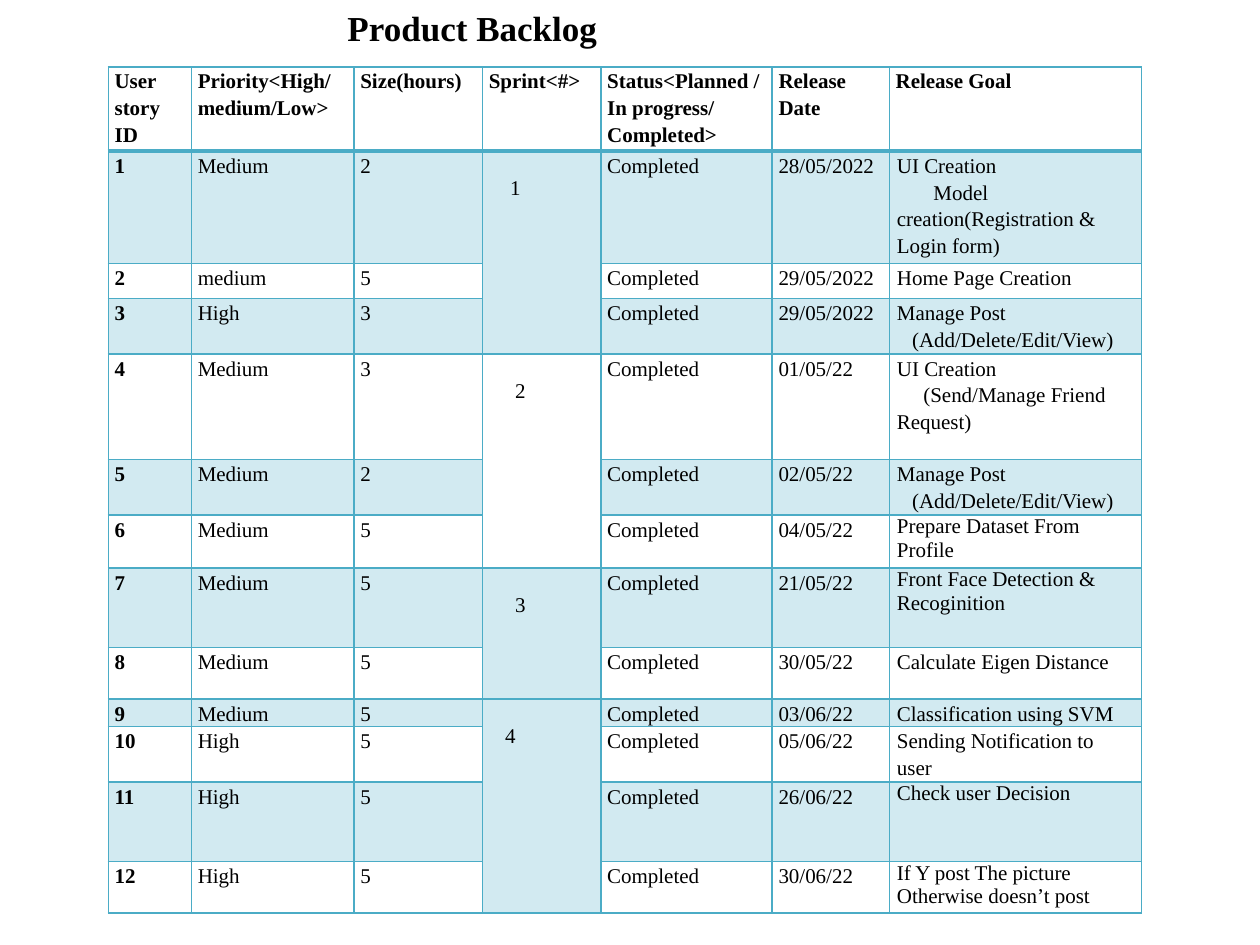
from lxml import etree
from pptx import Presentation
from pptx.dml.color import RGBColor
from pptx.oxml.ns import qn
from pptx.util import Inches, Pt

BORDER = "4BACC6"
BAND = "D2EAF1"


def write(tf, text, size=12, bold=False, spacing=1.15, indents=()):
    tf.word_wrap = True
    for i, line in enumerate(text.split("\n")):
        p = tf.paragraphs[0] if i == 0 else tf.add_paragraph()
        p.line_spacing = spacing
        if i < len(indents):
            p._p.get_or_add_pPr().set("indent", str(Inches(indents[i])))
        r = p.add_run()
        r.text = line
        r.font.name = "Times New Roman"
        r.font.size = Pt(size)
        r.font.bold = bold
        r.font.color.rgb = RGBColor.from_string("000000")


def add_borders(cell, **widths):
    tcPr = cell._tc.get_or_add_tcPr()
    for side in "LRTB":
        width = Pt(widths.get(side, 1))
        ln = etree.SubElement(tcPr, qn("a:ln" + side), w=str(width))
        fill = etree.SubElement(ln, qn("a:solidFill"))
        etree.SubElement(fill, qn("a:srgbClr"), val=BORDER)


prs = Presentation()
prs.slide_width = Inches(10)
prs.slide_height = Inches(7.5)
s = prs.slides.add_slide(prs.slide_layouts[6])

headers = ["User story\nID", "Priority<High/\nmedium/Low>", "Size(hours)", "Sprint<#>",
           "Status<Planned /In progress/\nCompleted>", "Release Date", "Release Goal"]
stories = [
    ("Medium", "2", "28/05/2022", "UI Creation\nModel creation(Registration & Login form)"),
    ("medium", "5", "29/05/2022", "Home Page Creation"),
    ("High", "3", "29/05/2022", "Manage Post\n(Add/Delete/Edit/View)"),
    ("Medium", "3", "01/05/22", "UI Creation\n(Send/Manage Friend Request)"),
    ("Medium", "2", "02/05/22", "Manage Post\n(Add/Delete/Edit/View)"),
    ("Medium", "5", "04/05/22", "Prepare Dataset From Profile"),
    ("Medium", "5", "21/05/22", "Front Face Detection & Recoginition"),
    ("Medium", "5", "30/05/22", "Calculate Eigen Distance"),
    ("Medium", "5", "03/06/22", "Classification using SVM"),
    ("High", "5", "05/06/22", "Sending Notification to user"),
    ("High", "5", "26/06/22", "Check user Decision"),
    ("High", "5", "30/06/22", "If Y post The picture Otherwise doesn’t post"),
]
goal_indents = {1: 0.29, 3: 0.12, 4: 0.21, 5: 0.12}
single_spaced = {6, 7, 11, 12}
sprints = {1: ("1", 3, 0.17), 4: ("2", 3, 0.21), 7: ("3", 2, 0.21), 9: ("4", 4, 0.13)}
col_widths = [0.66, 1.29, 1.02, 0.94, 1.36, 0.93, 2]
row_heights = [0.67, 0.89, 0.28, 0.44, 0.84, 0.44, 0.42, 0.63, 0.41, 0.22, 0.44, 0.63, 0.41]

frame = s.shapes.add_table(len(row_heights), len(col_widths), Inches(0.86), Inches(0.53),
                           Inches(8.2), Inches(6.84))
table = frame.table
table.first_row = False
table.horz_banding = False
for col, width in zip(table.columns, col_widths):
    col.width = Inches(width)
for row, height in zip(table.rows, row_heights):
    row.height = Inches(height)
for first, (number, span, indent) in sprints.items():
    table.cell(first, 3).merge(table.cell(first + span - 1, 3))

rows = [headers]
for i, (priority, size, date, goal) in enumerate(stories, 1):
    sprint = sprints[i][0] if i in sprints else ""
    rows.append([str(i), priority, size, sprint, "Completed", date, goal])

for i, row in enumerate(rows):
    for j, text in enumerate(row):
        cell = table.cell(i, j)
        if cell.is_spanned:
            continue
        is_goal = j == 6 and i > 0
        is_sprint = j == 3 and i > 0
        cell.margin_left = cell.margin_right = Inches(0.06 if is_goal else 0.05)
        cell.margin_top = Inches(0.18 if is_sprint else 0)
        cell.margin_bottom = 0
        add_borders(cell, T=2.25 if i == 1 else 1, B=2.25 if i == 0 else 1)
        if i % 2:
            cell.fill.solid()
            cell.fill.fore_color.rgb = RGBColor.from_string(BAND)
        else:
            cell.fill.background()
        indents = ()
        if is_sprint:
            indents = (sprints[i][2],)
        elif is_goal:
            indents = (0, goal_indents.get(i, 0))
        write(cell.text_frame, text, bold=i == 0 or j == 0, indents=indents,
              spacing=1.0 if is_goal and i in single_spaced else 1.15)

title = s.shapes.add_textbox(Inches(2.66), Inches(0), Inches(4.24), Inches(0.44))
write(title.text_frame, "Product Backlog", size=20, bold=True, spacing=1.0)

prs.save("out.pptx")
